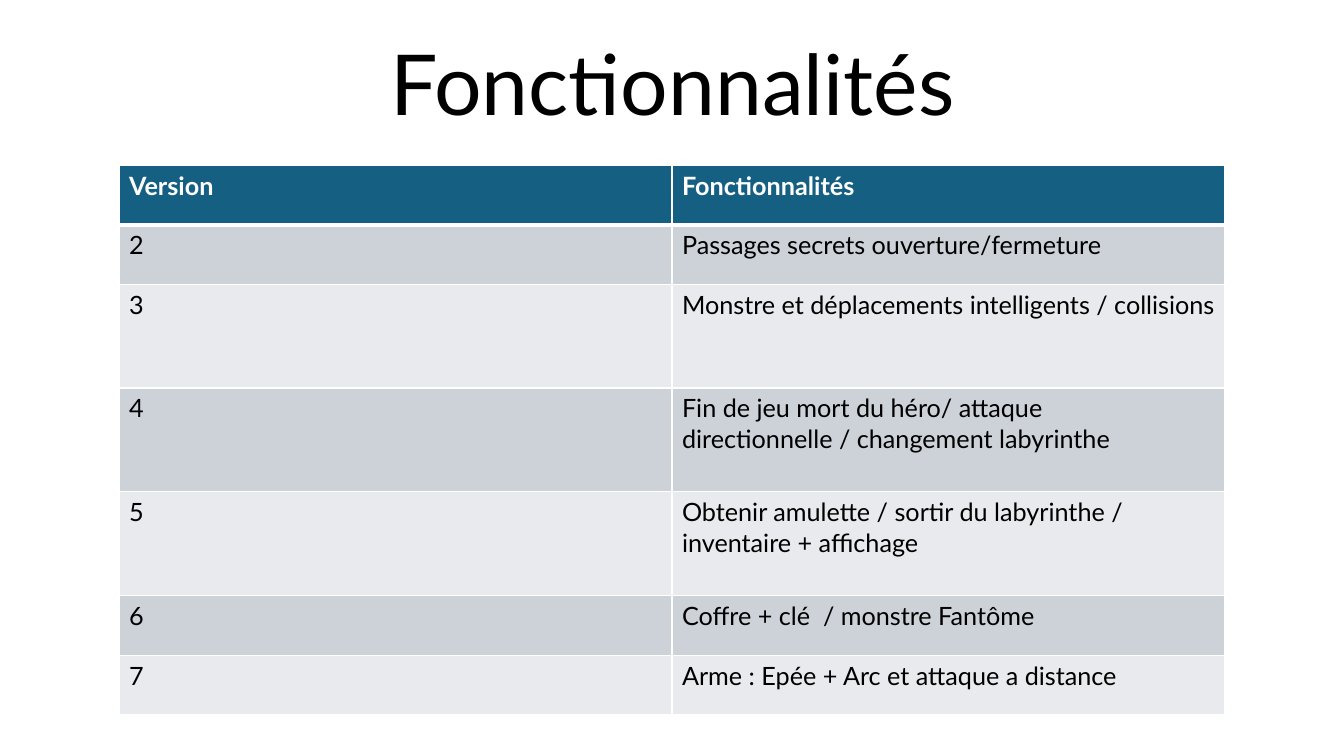
from lxml import etree
from pptx import Presentation
from pptx.dml.color import RGBColor
from pptx.enum import text
from pptx.oxml import ns
from pptx.util import Inches, Pt

BLACK = RGBColor(0x00, 0x00, 0x00)
WHITE = RGBColor(0xFF, 0xFF, 0xFF)
HEADER_BLUE = RGBColor(0x15, 0x60, 0x82)
BAND_DARK = RGBColor(0xCC, 0xD2, 0xD8)
BAND_LIGHT = RGBColor(0xE8, 0xEA, 0xED)
FONT = "Lato"
SHORT, TALL = 0.59, 1.03

ROWS = [
    ("Version", "Fonctionnalités", SHORT),
    ("2", "Passages secrets ouverture/fermeture", SHORT),
    ("3", "Monstre et déplacements intelligents / collisions", TALL),
    ("4", "Fin de jeu mort du héro/ attaque directionnelle / changement labyrinthe", TALL),
    ("5", "Obtenir amulette / sortir du labyrinthe / inventaire + affichage", TALL),
    ("6", "Coffre + clé  / monstre Fantôme", SHORT),
    ("7", "Arme : Epée + Arc et attaque a distance", SHORT),
]


def style_text(paragraph, size, color, bold=False):
    font = paragraph.runs[0].font
    font.name = FONT
    font.size = Pt(size)
    font.bold = bold
    font.color.rgb = color


def add_border(cell, side, width):
    line = etree.SubElement(cell._tc.get_or_add_tcPr(), ns.qn(f"a:{side}"), w=str(Pt(width)))
    fill = etree.SubElement(line, ns.qn("a:solidFill"))
    etree.SubElement(fill, ns.qn("a:srgbClr"), val=str(WHITE))


deck = Presentation()
deck.slide_width = Inches(13.33)
deck.slide_height = Inches(7.5)
page = deck.slides.add_slide(deck.slide_layouts[6])

title = page.shapes.add_textbox(Inches(1.67), Inches(-0.02), Inches(10), Inches(1.39))
title.text_frame.word_wrap = True
title.text_frame.vertical_anchor = text.MSO_ANCHOR.BOTTOM
title.text_frame.text = "Fonctionnalités"
heading = title.text_frame.paragraphs[0]
heading.alignment = text.PP_ALIGN.CENTER
heading.line_spacing = 0.9
style_text(heading, 60, BLACK)

table = page.shapes.add_table(
    len(ROWS), 2, Inches(1.18), Inches(1.64), Inches(10.97), Inches(5.46)
).table

for row_index, (version, features, height) in enumerate(ROWS):
    table.rows[row_index].height = Inches(height)
    is_header = row_index == 0
    band = BAND_DARK if row_index % 2 else BAND_LIGHT
    for column_index, content in enumerate((version, features)):
        cell = table.cell(row_index, column_index)
        cell.text = content
        style_text(cell.text_frame.paragraphs[0], 18, WHITE if is_header else BLACK, is_header)
        add_border(cell, "lnL", 1)
        add_border(cell, "lnR", 1)
        add_border(cell, "lnT", 3 if row_index == 1 else 1)
        add_border(cell, "lnB", 3 if is_header else 1)
        cell.fill.solid()
        cell.fill.fore_color.rgb = HEADER_BLUE if is_header else band

deck.save("out.pptx")
